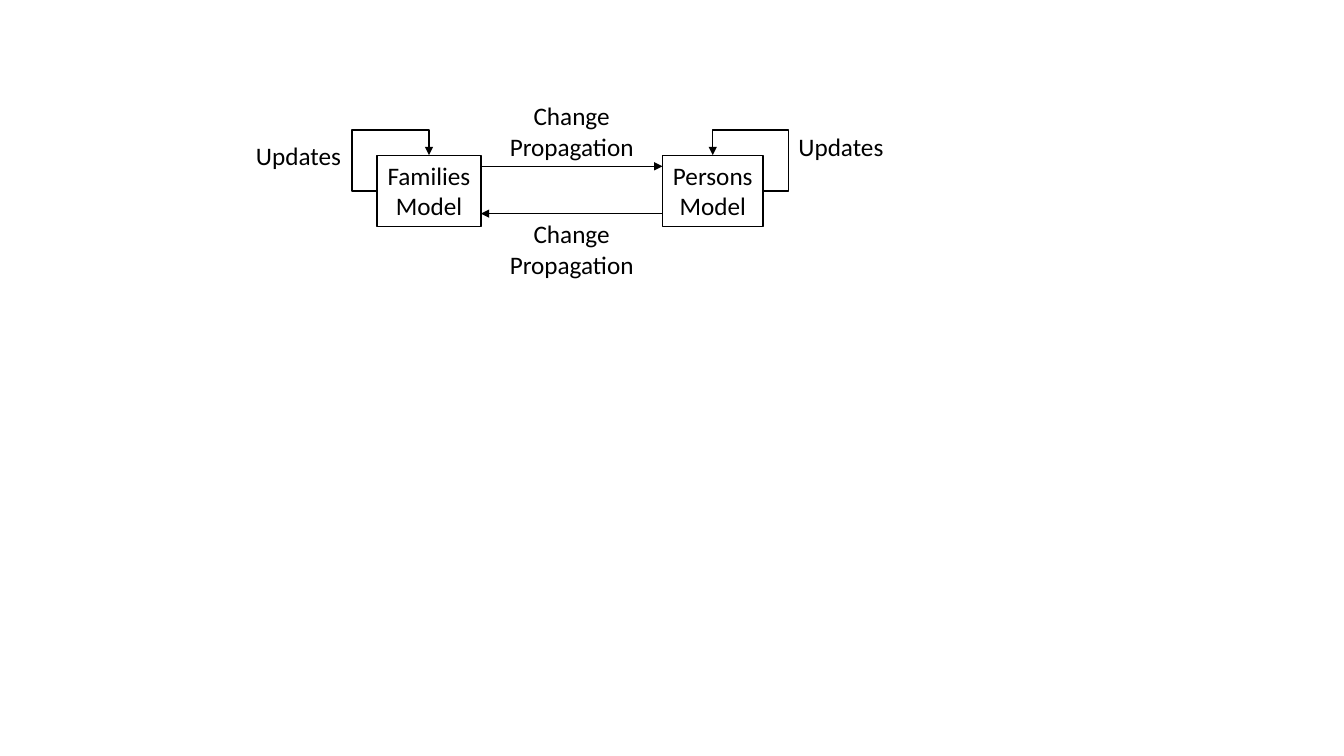
from pptx import Presentation
from pptx.dml.color import RGBColor
from pptx.enum.shapes import MSO_CONNECTOR, MSO_SHAPE
from pptx.enum.text import MSO_ANCHOR, MSO_AUTO_SIZE, PP_ALIGN
from pptx.oxml.ns import qn
from pptx.util import Inches, Pt
from lxml import etree

RECT = MSO_SHAPE.RECTANGLE
STRAIGHT, ELBOW = MSO_CONNECTOR.STRAIGHT, MSO_CONNECTOR.ELBOW
LEFT, CENTER = PP_ALIGN.LEFT, PP_ALIGN.CENTER
BLACK = RGBColor.from_string("000000")

# Rows and columns of the diagram, in inches
TOP, ROW_H = 1.54, 0.71
FAMILIES_X, FAMILIES_W = 3.74, 1.03
PERSONS_X, PERSONS_W = 6.57, 1.0
FAMILIES_RIGHT = FAMILIES_X + FAMILIES_W
LOOP = 0.25  # distance of an update loop from its box

prs = Presentation()
prs.slide_width, prs.slide_height = Inches(13.33), Inches(7.5)
s = prs.slides.add_slide(prs.slide_layouts[6])


def write(sp, lines, align):
    tf = sp.text_frame
    tf.word_wrap = False
    tf.auto_size = MSO_AUTO_SIZE.SHAPE_TO_FIT_TEXT
    tf.vertical_anchor = MSO_ANCHOR.TOP
    for i, line in enumerate(lines):
        p = tf.paragraphs[0] if i == 0 else tf.add_paragraph()
        p.alignment = align
        r = p.add_run()
        r.text = line
        r.font.name, r.font.size = "Calibri", Pt(18)
        r.font.color.rgb = BLACK


def arrow(kind, x1, y1, x2, y2):
    c = s.shapes.add_connector(kind, Inches(x1), Inches(y1), Inches(x2), Inches(y2))
    c.line.color.rgb, c.line.width = BLACK, Pt(1)
    etree.SubElement(c.line._get_or_add_ln(), qn("a:tailEnd"), type="triangle")
    etree.SubElement(c._element.spPr, qn("a:effectLst"))
    return c


# Model boxes, each with its update loop from one side to the top
for name, x, w, side in (("Families", FAMILIES_X, FAMILIES_W, 1),
                         ("Persons", PERSONS_X, PERSONS_W, 3)):
    sp = s.shapes.add_shape(RECT, Inches(x), Inches(TOP), Inches(w), Inches(ROW_H))
    sp.shadow.inherit = False
    sp.fill.background()
    sp.line.color.rgb, sp.line.width = BLACK, Pt(1)
    write(sp, [name, "Model"], CENTER)

    start_x = x if side == 1 else x + w
    c = arrow(ELBOW, start_x, TOP + ROW_H / 2, x + w / 2, TOP)
    c.begin_connect(sp, side)
    c.end_connect(sp, 0)
    geom = c._element.spPr.find(qn("a:prstGeom"))
    geom.set("prst", "bentConnector4")
    bends = (-LOOP / (w / 2), 1 + LOOP / (ROW_H / 2))
    for i, bend in enumerate(bends, 1):
        etree.SubElement(geom.find(qn("a:avLst")), qn("a:gd"),
                         name=f"adj{i}", fmla=f"val {round(bend * 100000)}")

# Change propagation in both directions
arrow(STRAIGHT, FAMILIES_RIGHT, 1.65, PERSONS_X, 1.65)
arrow(STRAIGHT, PERSONS_X, 2.12, FAMILIES_RIGHT, 2.12)

# Labels
for lines, x, y, w, h, align in (
        (["Updates"], 2.44, 1.34, 1.05, 0.4, LEFT),
        (["Updates"], 7.82, 1.25, 1.05, 0.4, LEFT),
        (["Change", "Propagation"], 4.95, 0.95, 1.44, ROW_H, CENTER),
        (["Change", "Propagation"], 4.95, 2.12, 1.44, ROW_H, CENTER)):
    write(s.shapes.add_textbox(Inches(x), Inches(y), Inches(w), Inches(h)), lines, align)

prs.save("out.pptx")
